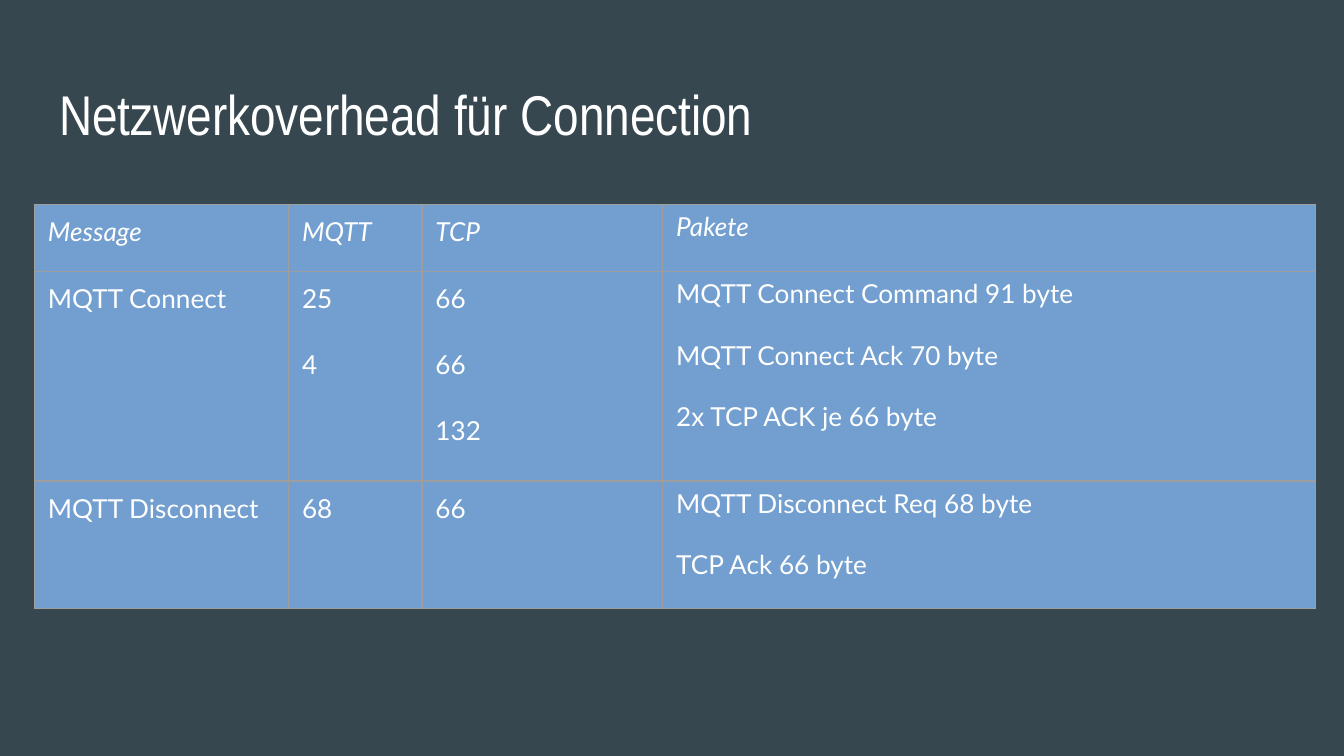
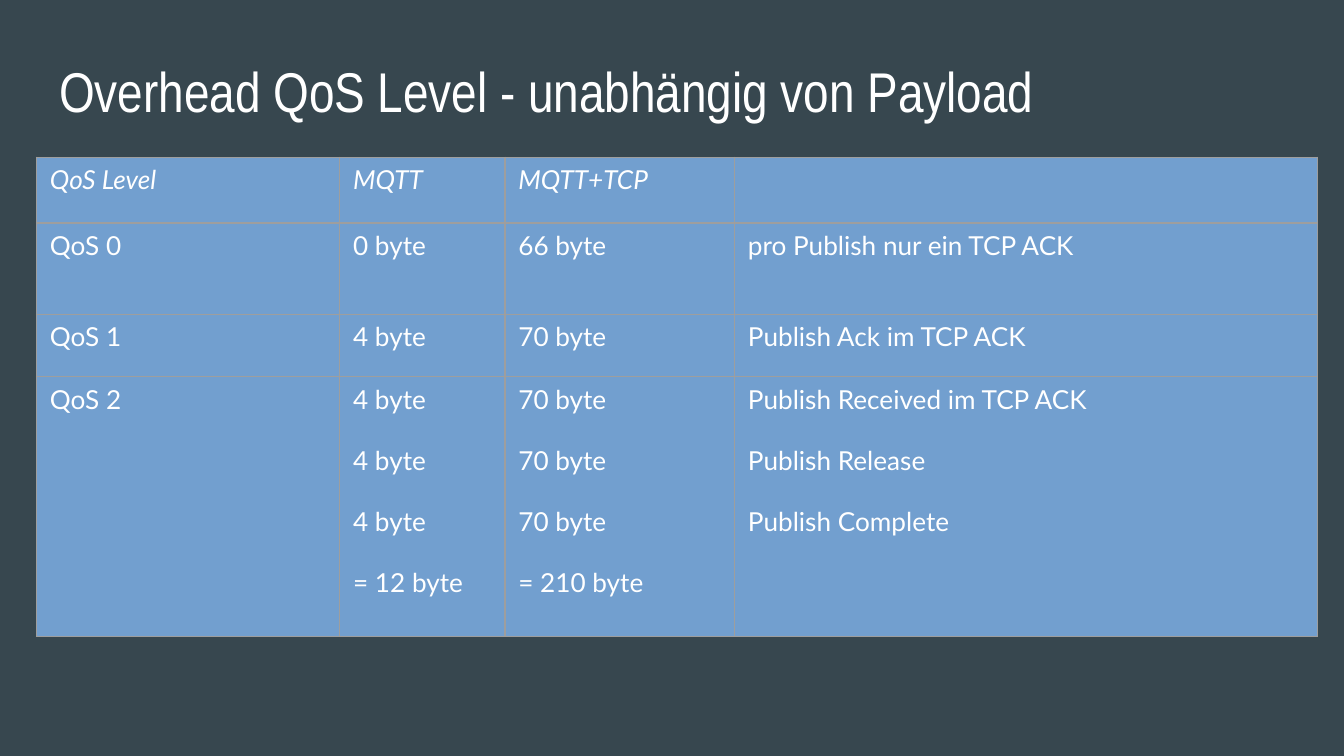
from dataclasses import dataclass

from lxml import etree
from pptx import Presentation
from pptx.dml.color import RGBColor
from pptx.enum import text
from pptx.oxml import ns
from pptx.util import Pt


@dataclass(frozen=True)
class Theme:
    background: RGBColor = RGBColor(0x37, 0x47, 0x4F)
    cell: RGBColor = RGBColor(0x72, 0x9F, 0xCF)
    border: RGBColor = RGBColor(0x9E, 0x9E, 0x9E)
    ink: RGBColor = RGBColor(0xFF, 0xFF, 0xFF)
    title_font: str = "Arial Narrow"
    body_font: str = "Lato"
    title_size: int = 30
    body_size: int = 14
    paragraph_gap: int = 16
    border_width: float = 0.75


THEME = Theme()
SLIDE_SIZE = (720, 405)
TITLE_LEFT, TITLE_WIDTH, TITLE_HEIGHT = 24.5, 671, 45.4

# A cell is written as one string with a line break between its paragraphs.
CONNECTION_ROWS = [
    ["Message", "MQTT", "TCP", "Pakete"],
    ["MQTT Connect", "25\n4", "66\n66\n132",
     "MQTT Connect Command 91 byte\nMQTT Connect Ack 70 byte\n2x TCP ACK je 66 byte"],
    ["MQTT Disconnect", "68", "66", "MQTT Disconnect Req 68 byte\nTCP Ack 66 byte"],
]
QOS_ROWS = [
    ["QoS Level", "MQTT", "MQTT+TCP", ""],
    ["QoS 0", "0 byte", "66 byte", "pro Publish nur ein TCP ACK"],
    ["QoS 1", "4 byte", "70 byte", "Publish Ack im TCP ACK"],
    ["QoS 2", "4 byte\n4 byte\n4 byte\n= 12 byte",
     "70 byte\n70 byte\n70 byte\n= 210 byte",
     "Publish Received im TCP ACK\nPublish Release\nPublish Complete"],
]


def format_font(font, name, size, italic=False):
    font.name = name
    font.size = Pt(size)
    font.bold = False
    font.italic = italic
    font.color.rgb = THEME.ink


def add_titled_slide(presentation, title, top):
    slide = presentation.slides.add_slide(presentation.slide_layouts[5])
    shape = slide.shapes.title
    shape.left, shape.top = Pt(TITLE_LEFT), Pt(top)
    shape.width, shape.height = Pt(TITLE_WIDTH), Pt(TITLE_HEIGHT)
    frame = shape.text_frame
    frame.text = title
    frame.word_wrap = True
    frame.auto_size = text.MSO_AUTO_SIZE.NONE
    frame.vertical_anchor = text.MSO_ANCHOR.TOP
    frame.margin_left = frame.margin_right = Pt(7.2)
    frame.margin_top = frame.margin_bottom = Pt(7.2)
    paragraph = frame.paragraphs[0]
    paragraph.alignment = text.PP_ALIGN.LEFT
    format_font(paragraph.runs[0].font, THEME.title_font, THEME.title_size)
    return slide


def add_borders(cell):
    """Put the four border lines ahead of the fill, as the schema demands."""
    properties = cell._tc.get_or_add_tcPr()
    for position, side in enumerate(("lnL", "lnR", "lnT", "lnB")):
        line = etree.Element(ns.qn(f"a:{side}"), w=str(Pt(THEME.border_width)))
        fill = etree.SubElement(line, ns.qn("a:solidFill"))
        etree.SubElement(fill, ns.qn("a:srgbClr"), val=str(THEME.border))
        properties.insert(position, line)


def fill_cell(cell, content, line_spacing, italic):
    cell.fill.solid()
    cell.fill.fore_color.rgb = THEME.cell
    add_borders(cell)
    cell.margin_left = cell.margin_right = Pt(7.2)
    cell.margin_top = cell.margin_bottom = Pt(3.6)
    cell.text_frame.text = content
    paragraphs = cell.text_frame.paragraphs
    for paragraph in paragraphs:
        paragraph.line_spacing = line_spacing
        format_font(paragraph.font, THEME.body_font, THEME.body_size, italic)
        for run in paragraph.runs:
            format_font(run.font, THEME.body_font, THEME.body_size, italic)
    for paragraph in paragraphs[1:]:
        paragraph.space_before = Pt(THEME.paragraph_gap)
    paragraphs[-1].space_after = Pt(THEME.paragraph_gap)


def add_overhead_table(slide, position, rows, widths, heights, line_spacings):
    """Add a table with an italic heading row and one line spacing per column."""
    left, top = position
    table = slide.shapes.add_table(
        len(rows), len(widths), Pt(left), Pt(top), Pt(sum(widths)), Pt(sum(heights))
    ).table
    table.first_row = table.horz_banding = False
    for column, width in zip(table.columns, widths):
        column.width = Pt(width)
    for row, height in zip(table.rows, heights):
        row.height = Pt(height)
    for row_number, contents in enumerate(rows):
        for column_number, content in enumerate(contents):
            fill_cell(table.cell(row_number, column_number), content,
                      line_spacings[column_number], italic=row_number == 0)


def main():
    presentation = Presentation()
    presentation.slide_width, presentation.slide_height = map(Pt, SLIDE_SIZE)
    background = presentation.slide_master.background.fill
    background.solid()
    background.fore_color.rgb = THEME.background

    slide = add_titled_slide(presentation, "Netzwerkoverhead für Connection", 35.3)
    add_overhead_table(slide, (18.5, 109.4), CONNECTION_ROWS,
                       widths=(136.1, 71.5, 129, 349.5), heights=(36, 112.3, 68.4),
                       line_spacings=(1.15, 1.15, 1.15, 1.0))

    slide = add_titled_slide(presentation, "Overhead QoS Level - unabhängig von Payload", 23)
    add_overhead_table(slide, (19.5, 84.2), QOS_ROWS,
                       widths=(162.5, 88.5, 123, 312.3), heights=(35.3, 49, 33.4, 139),
                       line_spacings=(1.0, 1.0, 1.0, 1.0))

    presentation.save("out.pptx")


if __name__ == "__main__":
    main()
